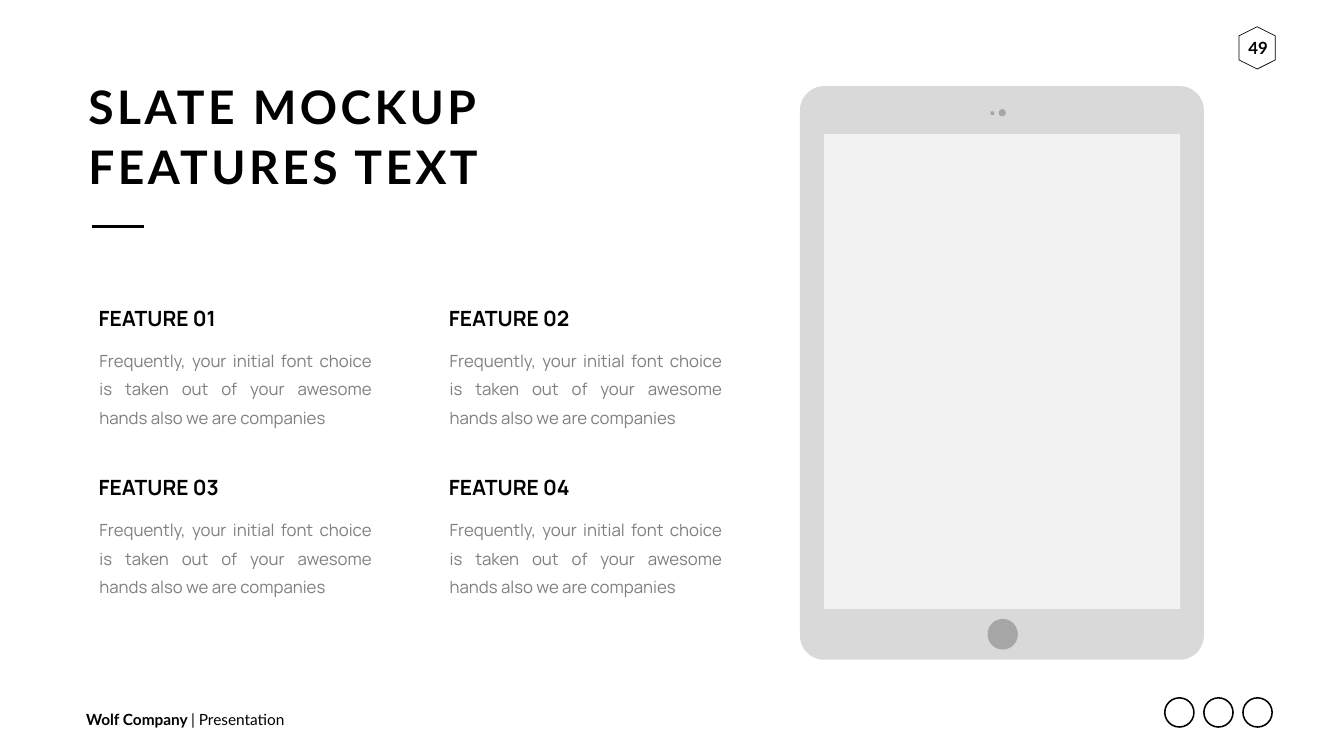
from lxml import etree
from pptx import Presentation
from pptx import util as u
from pptx.dml.color import RGBColor
from pptx.enum import shapes, text
from pptx.oxml.ns import qn

BLACK, GREY, BODY = "000000", "A6A6A6", "7F7F7F"
CASE, SCREEN = "D9D9D9", "F2F2F2"
SHAPE, ALIGN, ANCHOR = shapes.MSO_SHAPE, text.PP_ALIGN, text.MSO_ANCHOR
FEATURE_TEXT = ("Frequently, your initial font choice is taken out of your "
                "awesome hands also we are companies")


def rgb(value):
    return RGBColor.from_string(value)


class Deck:
    """Holds the text style and the slide being built."""
    heading_font, body_font = "Lato", "Manrope"

    def __init__(self, width, height):
        self.prs = Presentation()
        self.prs.slide_width, self.prs.slide_height = u.Cm(width), u.Cm(height)
        self.s = self.prs.slides.add_slide(self.prs.slide_layouts[5])

    def frame(self, sp, insets=(0.25, 0.13), anchor=ANCHOR.MIDDLE, wrap=True):
        tf = sp.text_frame
        tf.word_wrap, tf.vertical_anchor = wrap, anchor
        tf.auto_size = text.MSO_AUTO_SIZE.NONE
        tf.margin_left = tf.margin_right = u.Cm(insets[0])
        tf.margin_top = tf.margin_bottom = u.Cm(insets[1])
        return tf

    def run(self, p, words, size, font, color=BLACK, bold=False):
        r = p.add_run()
        r.text = words
        r.font.size, r.font.name, r.font.bold = u.Pt(size), font, bold
        r.font.color.rgb = rgb(color)
        return r

    def title(self, lines, left, top, width, height):
        sp = self.s.shapes.title
        sp.left, sp.top, sp.width, sp.height = map(u.Cm, (left, top, width, height))
        tf = self.frame(sp, insets=(0, 0))
        for i, line in enumerate(lines):
            p = tf.add_paragraph() if i else tf.paragraphs[0]
            p.alignment, p.line_spacing = ALIGN.LEFT, u.Pt(85)
            r = self.run(p, line, 66, self.heading_font, bold=True)
            r.font._element.set("spc", "500")

    def textbox(self, left, top, width, height, align=ALIGN.LEFT, **frame):
        """Add a text box and return its first paragraph."""
        sp = self.s.shapes.add_textbox(*map(u.Cm, (left, top, width, height)))
        p = self.frame(sp, **frame).paragraphs[0]
        p.alignment = align
        return p

    def shape(self, kind, left, top, width, height, fill=None, line=None, weight=1):
        sp = self.s.shapes.add_shape(kind, *map(u.Cm, (left, top, width, height)))
        sp.shadow.inherit = False
        if fill:
            sp.fill.solid()
            sp.fill.fore_color.rgb = rgb(fill)
        else:
            sp.fill.background()
        if line:
            sp.line.color.rgb, sp.line.width = rgb(line), u.Pt(weight)
        else:
            sp.line.fill.background()
        return sp

    def line(self, x1, y1, x2, y2, weight):
        sp = self.s.shapes.add_connector(
            shapes.MSO_CONNECTOR.STRAIGHT, *map(u.Cm, (x1, y1, x2, y2)))
        sp.line.color.rgb, sp.line.width = rgb(BLACK), u.Pt(weight)
        etree.SubElement(sp._element.spPr, qn("a:effectLst"))

    def feature(self, heading, left, top):
        p = self.textbox(left + 0.32, top, 8, 1.55)
        self.run(p, heading, 30, self.body_font, bold=True)
        p = self.textbox(left, top + 1.73, 14.94, 4.88, ALIGN.JUSTIFY,
                         insets=(0.61, 0.3), anchor=ANCHOR.TOP)
        p.line_spacing, p.space_before = u.Pt(40.4), u.Pt(4.8)
        self.run(p, FEATURE_TEXT, 24, self.body_font, BODY)

    def tablet(self):
        case = self.shape(SHAPE.ROUNDED_RECTANGLE, 40.31, 4.34, 20.35, 28.91, CASE)
        case.adjustments[0] = 0.06
        self.shape(SHAPE.OVAL, 50.32, 5.5, 0.36, 0.36, GREY)
        self.shape(SHAPE.RECTANGLE, 49.91, 5.61, 0.18, 0.18, GREY)
        self.shape(SHAPE.RECTANGLE, 41.53, 6.76, 17.93, 23.93, SCREEN)
        self.shape(SHAPE.OVAL, 49.76, 31.19, 1.53, 1.55, GREY)

    def footer(self):
        p = self.textbox(4.09, 35.64, 14, 1.19)
        self.run(p, "Wolf Company ", 22, self.heading_font, bold=True)
        self.run(p, "| Presentation", 22, self.heading_font)
        for i in range(3):
            self.shape(SHAPE.OVAL, 58.69 + i * 1.97, 35.17, 1.47, 1.47,
                       line=BLACK, weight=2.2)

    def page_number(self, number):
        badge = self.shape(SHAPE.HEXAGON, 62.28, 1.5, 2.13, 1.83, line=BLACK)
        badge.rotation = 90
        p = self.textbox(62.2, 1.65, 2.4, 1.55, ALIGN.CENTER, insets=(0, 0))
        self.run(p, number, 24, self.heading_font, bold=True)


def main():
    deck = Deck(67.72, 38.1)
    deck.footer()
    deck.page_number("49")
    deck.tablet()
    deck.title(["SLATE MOCKUP", "FEATURES TEXT"], 4.45, 3.73, 21, 6.05)
    deck.line(4.65, 11.4, 7.24, 11.4, 4.5)
    for i in range(4):
        row, col = divmod(i, 2)
        deck.feature(f"FEATURE {i + 1:02}", 4.4 + col * 17.65, 15.24 + row * 8.53)
    deck.prs.save("out.pptx")


if __name__ == "__main__":
    main()
